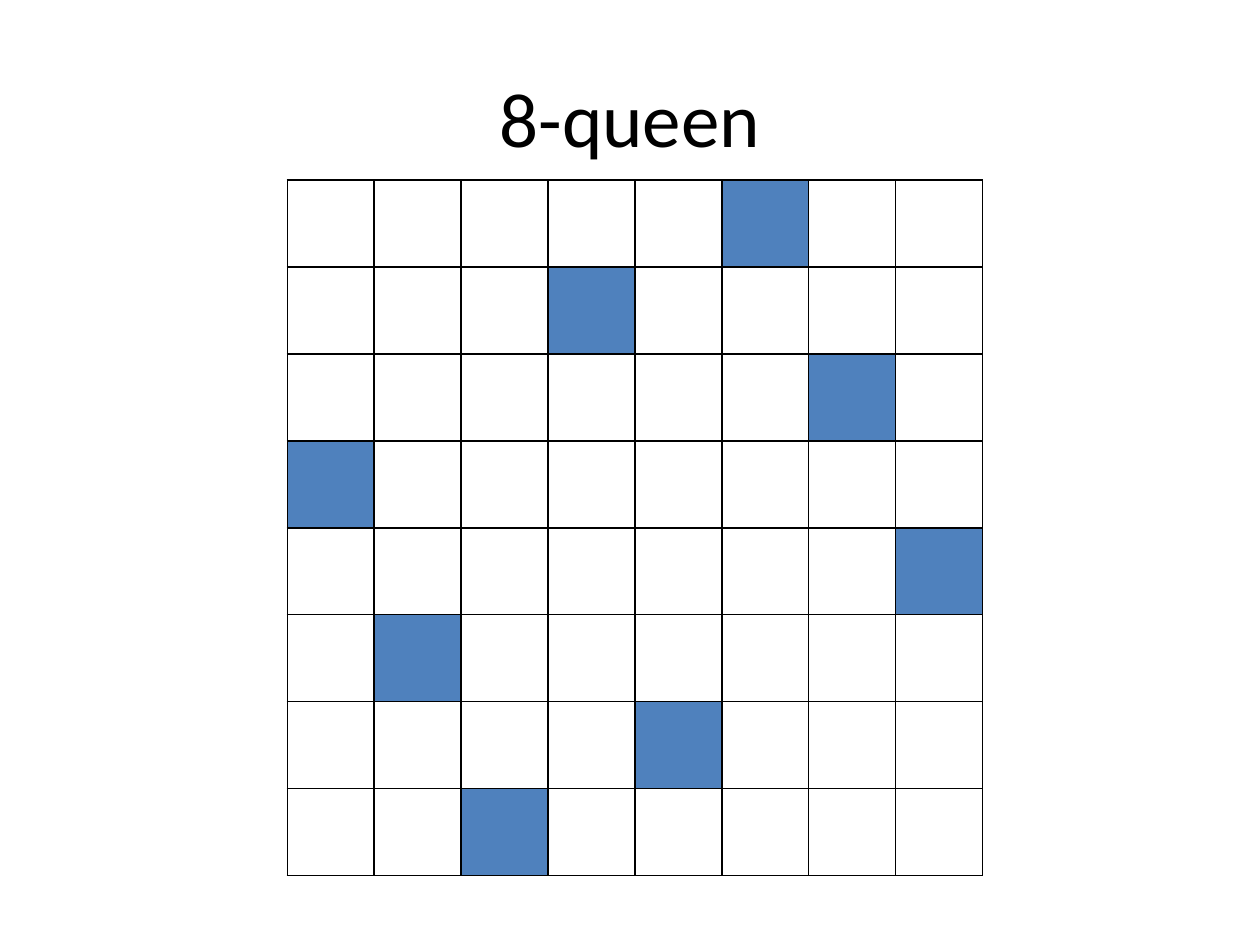
from lxml import etree
from pptx import Presentation
from pptx.dml.color import RGBColor
from pptx.enum.text import MSO_ANCHOR, PP_ALIGN
from pptx.oxml.ns import qn
from pptx.util import Inches, Pt

CENTER = PP_ALIGN.CENTER
MIDDLE = MSO_ANCHOR.MIDDLE
CELL = 0.69
QUEEN_COLUMNS = [5, 3, 6, 0, 7, 1, 4, 2]
BLACK = "000000"
BLUE = "4F81BD"


def color(value):
    """Return the colour of a hex string."""
    return RGBColor.from_string(value)


def add_text(s, text, left, top, width, height, size=18, font="Calibri", fill=BLACK):
    """Add a centred one-line text box, with its place in inches."""
    tf = s.shapes.add_textbox(*map(Inches, (left, top, width, height))).text_frame
    tf.word_wrap = True
    tf.vertical_anchor = MIDDLE
    p = tf.paragraphs[0]
    p.alignment = CENTER
    r = p.add_run()
    r.text = text
    r.font.size = Pt(size)
    r.font.name = font
    r.font.color.rgb = color(fill)


def set_borders(cell, line=BLACK, width=1):
    """Draw a solid line on all four sides of a cell."""
    tcPr = cell._tc.get_or_add_tcPr()
    for side in ("a:lnL", "a:lnR", "a:lnT", "a:lnB"):
        ln = etree.SubElement(tcPr, qn(side), w=str(Pt(width)))
        solid = etree.SubElement(ln, qn("a:solidFill"))
        etree.SubElement(solid, qn("a:srgbClr"), val=line)


def add_board(s, queens, left, top):
    """Add a square board with one coloured cell in each row."""
    n = len(queens)
    side = Inches(n * CELL)
    table = s.shapes.add_table(n, n, Inches(left), Inches(top), side, side).table
    table.first_row = False
    table.horz_banding = False
    for row, queen in enumerate(queens):
        for column in range(n):
            cell = table.cell(row, column)
            set_borders(cell)
            if column == queen:
                cell.fill.solid()
                cell.fill.fore_color.rgb = color(BLUE)
            else:
                cell.fill.background()


def main():
    """Build the slide and save it."""
    prs = Presentation()
    prs.slide_width = Inches(10)
    prs.slide_height = Inches(7.5)
    s = prs.slides.add_slide(prs.slide_layouts[6])
    add_text(s, "8-queen", 0.5, 0.3, 9, 1.25, size=44)
    add_board(s, QUEEN_COLUMNS, 2.28, 1.43)
    prs.save("out.pptx")


if __name__ == "__main__":
    main()
